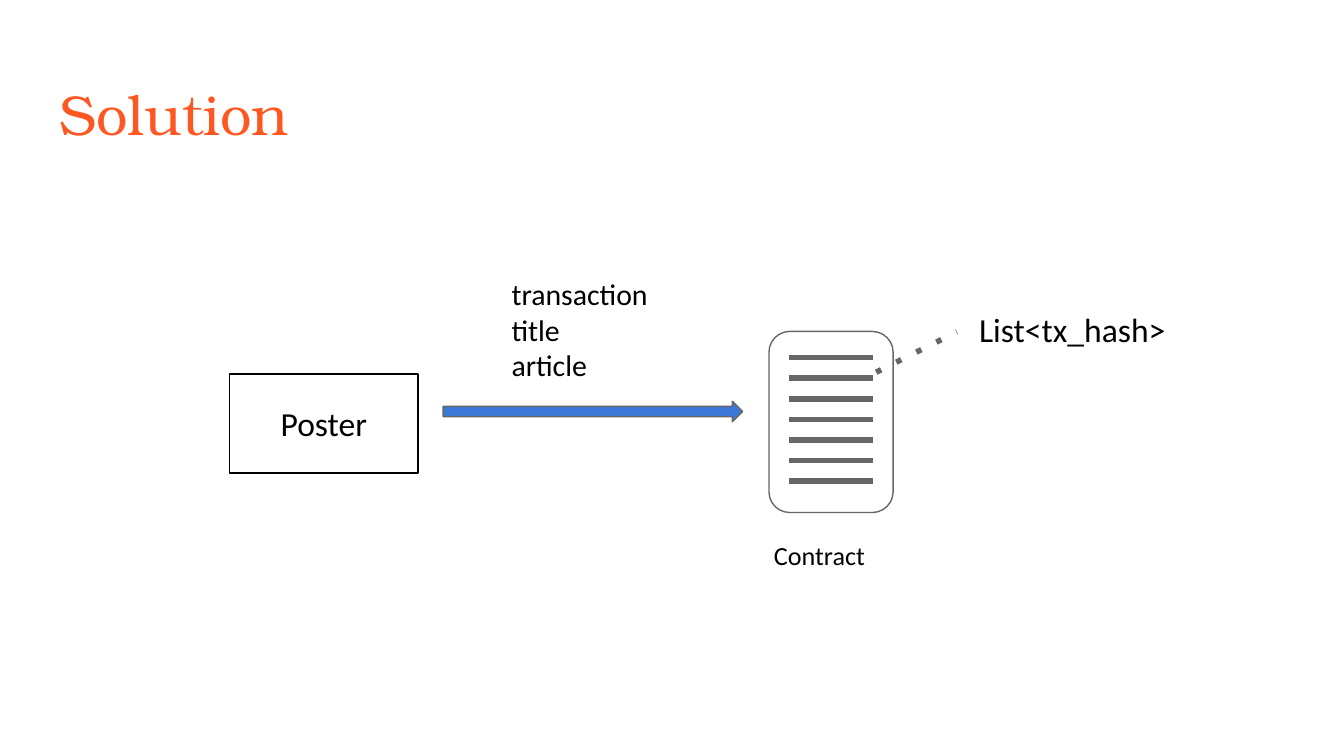
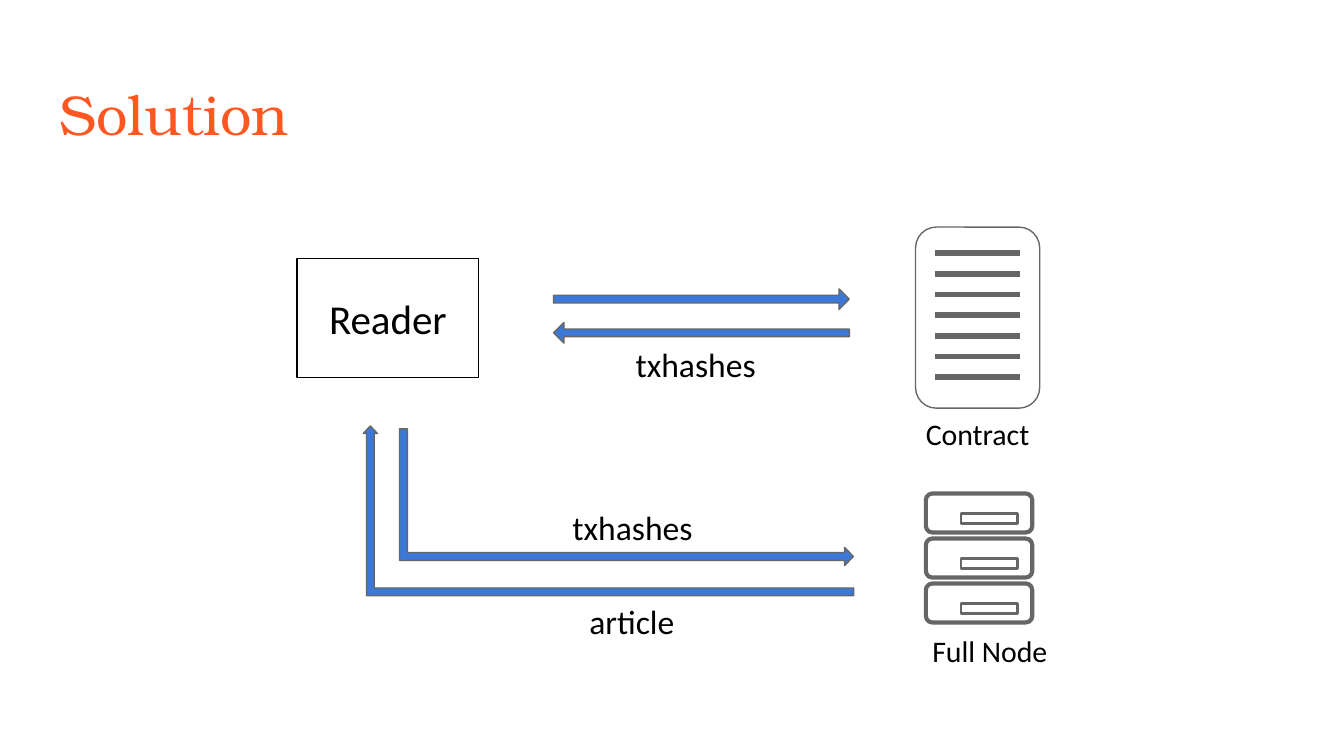
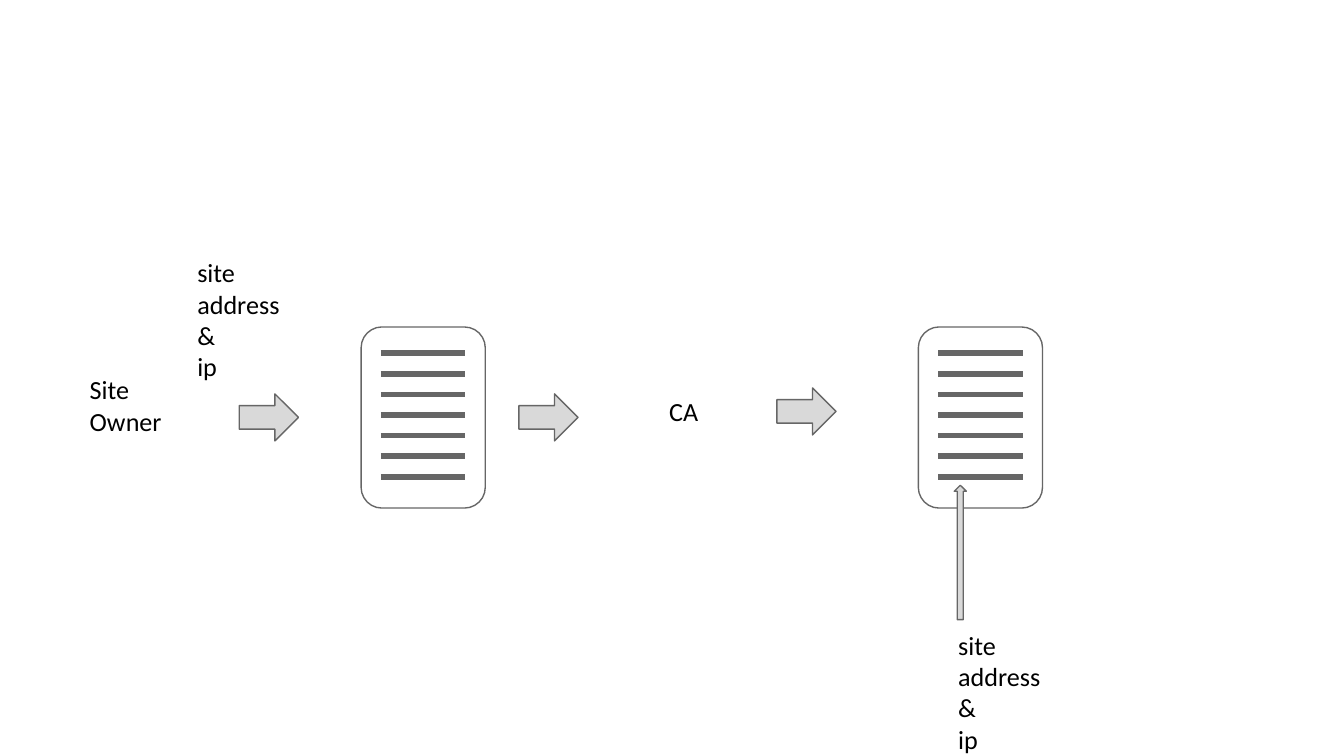
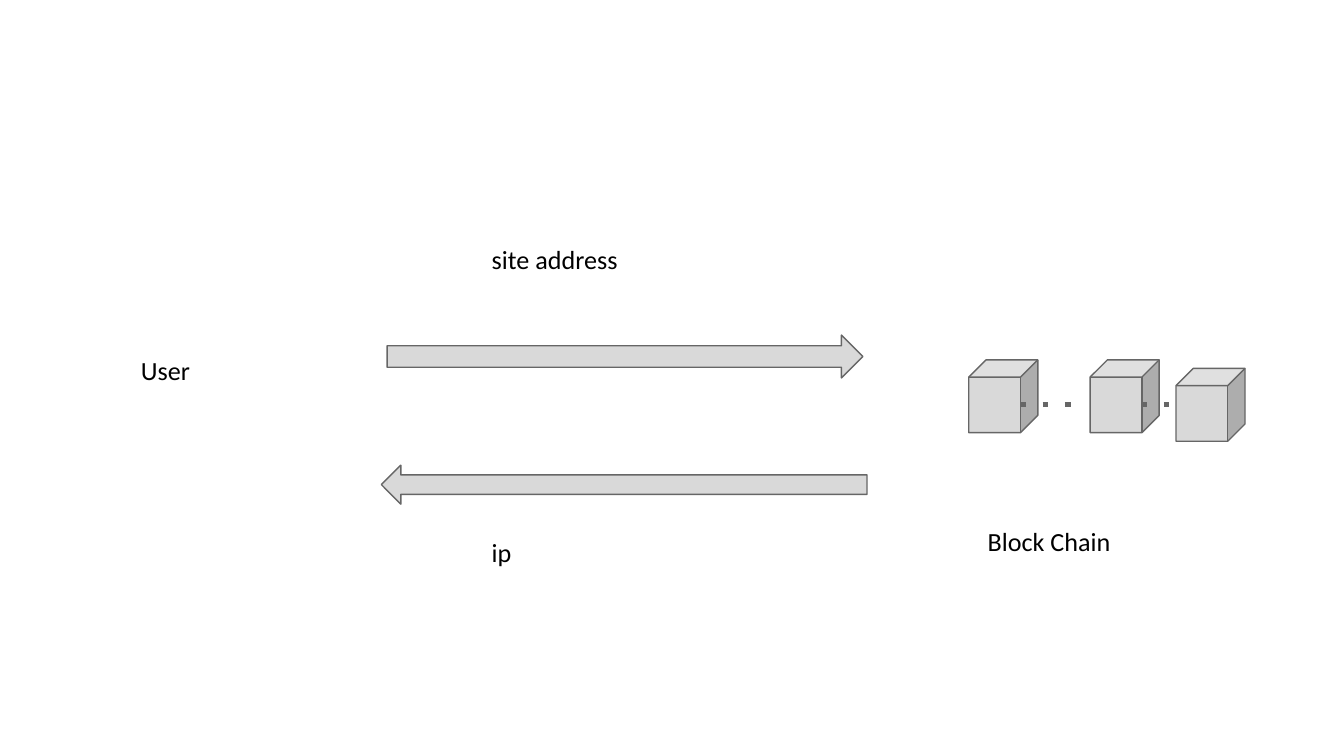
"""Build four slides on publishing through a contract and a block chain."""
from lxml.etree import SubElement
from pptx import Presentation
from pptx.dml.color import RGBColor
from pptx.enum.shapes import MSO_CONNECTOR, MSO_SHAPE
from pptx.enum.text import MSO_ANCHOR, MSO_AUTO_SIZE, PP_ALIGN
from pptx.oxml.ns import qn
from pptx.util import Pt

ORANGE = RGBColor(0xFF, 0x57, 0x22)
BLUE = RGBColor(0x3C, 0x78, 0xD8)
SILVER = RGBColor(0xD9, 0xD9, 0xD9)
GREY = RGBColor(0x66, 0x66, 0x66)
WHITE = RGBColor(0xFF, 0xFF, 0xFF)
BLACK = RGBColor(0x00, 0x00, 0x00)

TITLE_FONT = "TeX Gyre Bonum"
BODY_FONT = "Calibri"
TITLE_ONLY, BLANK = 5, 6
INSET = 7.2
THIN, THICK = 0.75, 3


class Sketch:
    """Hold the shared style and the page being drawn."""

    def __init__(self):
        self.deck = Presentation()
        self.deck.slide_width, self.deck.slide_height = Pt(720), Pt(405)
        self.page = None

    def start(self, title=None):
        layout = self.deck.slide_layouts[TITLE_ONLY if title else BLANK]
        self.page = self.deck.slides.add_slide(layout)
        fill = self.page.background.fill
        fill.solid()
        fill.fore_color.rgb = WHITE
        if title:
            box = self.page.shapes.title
            box.left, box.top, box.width, box.height = Pt(24.5), Pt(35.3), Pt(671), Pt(45.4)
            self.set_text(box, [title], 30, font=TITLE_FONT, color=ORANGE)

    def set_text(self, box, lines, size, align=PP_ALIGN.LEFT, anchor=MSO_ANCHOR.TOP,
                 font=BODY_FONT, color=BLACK):
        frame = box.text_frame
        frame.word_wrap = True
        frame.auto_size = MSO_AUTO_SIZE.NONE
        frame.vertical_anchor = anchor
        frame.margin_left = frame.margin_right = Pt(INSET)
        frame.margin_top = frame.margin_bottom = Pt(INSET)
        for index, line in enumerate(lines):
            para = frame.add_paragraph() if index else frame.paragraphs[0]
            para.alignment = align
            span = para.add_run()
            span.text = line
            span.font.name = font
            span.font.size = Pt(size)
            span.font.color.rgb = color

    def label(self, left, top, width, height, *lines, size=14, align=PP_ALIGN.LEFT):
        box = self.page.shapes.add_textbox(Pt(left), Pt(top), Pt(width), Pt(height))
        self.set_text(box, lines, size, align)

    def shape(self, kind, left, top, width, height, fill=None, line=GREY,
              weight=THIN, adjust=(), rotation=0, parent=None):
        shapes = (parent or self.page).shapes
        shape = shapes.add_shape(kind, Pt(left), Pt(top), Pt(width), Pt(height))
        shape.shadow.inherit = False
        if fill is None:
            shape.fill.background()
        else:
            shape.fill.solid()
            shape.fill.fore_color.rgb = fill
        shape.line.color.rgb = line
        shape.line.width = Pt(weight)
        for index, value in enumerate(adjust):
            shape.adjustments[index] = value
        shape.rotation = rotation
        return shape

    def actor(self, left, top, width, height, name, size):
        box = self.shape(MSO_SHAPE.RECTANGLE, left, top, width, height, line=BLACK)
        self.set_text(box, [name], size, PP_ALIGN.CENTER, MSO_ANCHOR.MIDDLE)

    def line(self, start, end, dotted=False, parent=None):
        shapes = (parent or self.page).shapes
        line = shapes.add_connector(MSO_CONNECTOR.STRAIGHT, *map(Pt, start + end))
        line.line.color.rgb = GREY
        line.line.width = Pt(THICK)
        properties = line._element.spPr
        if dotted:
            SubElement(properties.find(qn("a:ln")), qn("a:prstDash"), val="dot")
        SubElement(properties, qn("a:effectLst"))

    def contract(self, left, top):
        group = self.page.shapes.add_group_shape()
        self.shape(MSO_SHAPE.ROUNDED_RECTANGLE, left, top, 66.5, 97, WHITE,
                   adjust=[0.167], parent=group)
        for row in range(7):
            height = top + 14 + row * 11.04
            self.line((left + 10.6, height), (left + 55.8, height), parent=group)

    def server(self, left, top):
        group = self.page.shapes.add_group_shape()
        for row in range(3):
            height = top + row * 24.1
            self.shape(MSO_SHAPE.ROUNDED_RECTANGLE, left, height, 57, 20.9, WHITE,
                       weight=2.25, adjust=[0.167], parent=group)
            self.shape(MSO_SHAPE.RECTANGLE, left + 18.8, height + 10.6, 30.4, 5.6, WHITE,
                       weight=1.5, parent=group)


def draw_posting(sketch):
    sketch.start("Solution")
    sketch.actor(123, 200.3, 101, 53.2, "Poster", 18)
    sketch.shape(MSO_SHAPE.RIGHT_ARROW, 237.4, 215, 160.4, 11, BLUE)
    sketch.contract(412, 177.6)
    sketch.label(267, 140.4, 93.6, 53.3, "transaction", "title", "article", size=16)
    sketch.label(517.5, 158.4, 172, 57, "List<tx_hash>", size=18)
    sketch.line((469.4, 199.4), (512.6, 177.8), dotted=True)
    sketch.label(407.5, 281.5, 70.6, 39.6, "Contract")


def draw_reading(sketch):
    center = PP_ALIGN.CENTER
    sketch.start("Solution")
    sketch.actor(159.2, 138.4, 97.2, 64, "Reader", 22)
    for top, rotation in ((154.8, 0), (172.8, 180)):
        sketch.shape(MSO_SHAPE.RIGHT_ARROW, 296.6, top, 158.4, 11, BLUE,
                     adjust=[0.372, 0.5], rotation=rotation)
    sketch.contract(490.5, 121.7)
    sketch.server(496, 264.4)
    sketch.label(333.4, 177, 103.7, 57.6, "txhashes", size=18)
    sketch.label(290.2, 264.3, 97.2, 32.4, "txhashes", size=18, align=center)
    sketch.label(296, 314.6, 85, 40.3, "article", size=18, align=center)
    sketch.label(481.7, 332, 97.2, 46.8, "Full Node", size=16, align=center)
    sketch.label(488.9, 215.3, 85, 39.6, "Contract", size=16)
    sketch.shape(MSO_SHAPE.BENT_UP_ARROW, 299, 144.8, 73.2, 243.2, BLUE,
                 adjust=[0.058, 0.066, 0.065], rotation=90)
    reply = sketch.shape(MSO_SHAPE.BENT_UP_ARROW, 194.6, 228.2, 262.8, 90.9, BLUE,
                         adjust=[0.045, 0.042, 0.045])
    reply._element.spPr.find(qn("a:xfrm")).set("flipH", "1")


def draw_registration(sketch):
    sketch.start()
    for left in (193.5, 492):
        sketch.contract(left, 175.2)
    sketch.label(41, 193, 79.2, 91.4, "Site", "Owner")
    sketch.label(351.4, 204.5, 55.4, 31.7, "CA")
    for left, top in ((98.6, 130.3), (506.2, 329.8)):
        sketch.label(left, top, 66.2, 31, "site address &", "ip")
    for left, top in ((128.2, 211), (278, 211), (416.2, 207.8)):
        sketch.shape(MSO_SHAPE.RIGHT_ARROW, left, top, 31.7, 25.2, SILVER)
    sketch.shape(MSO_SHAPE.UP_ARROW, 511.2, 260, 6.5, 72, SILVER)


def draw_lookup(sketch):
    sketch.start()
    sketch.label(68.4, 182.9, 66.2, 38.9, "User")
    sketch.shape(MSO_SHAPE.RIGHT_ARROW, 207.4, 179.5, 254.9, 23, SILVER)
    sketch.shape(MSO_SHAPE.LEFT_ARROW, 204.3, 249.2, 260.2, 20.9, SILVER)
    for top, text in ((123.2, "site address"), (280, "ip")):
        sketch.label(256.3, top, 137.5, 38.9, text)
    sketch.label(522, 274.5, 159.8, 50.4, "Block Chain")
    for left, top, linked in ((519, 192.8, True), (584, 192.8, True), (630, 197.4, False)):
        sketch.shape(MSO_SHAPE.CUBE, left, top, 37, 39, SILVER, adjust=[0.25])
        if linked:
            sketch.line((left + 27.5, 216.8), (left + 55.6, 216.8), dotted=True)


def main():
    sketch = Sketch()
    for draw in (draw_posting, draw_reading, draw_registration, draw_lookup):
        draw(sketch)
    sketch.deck.save("out.pptx")


if __name__ == "__main__":
    main()
